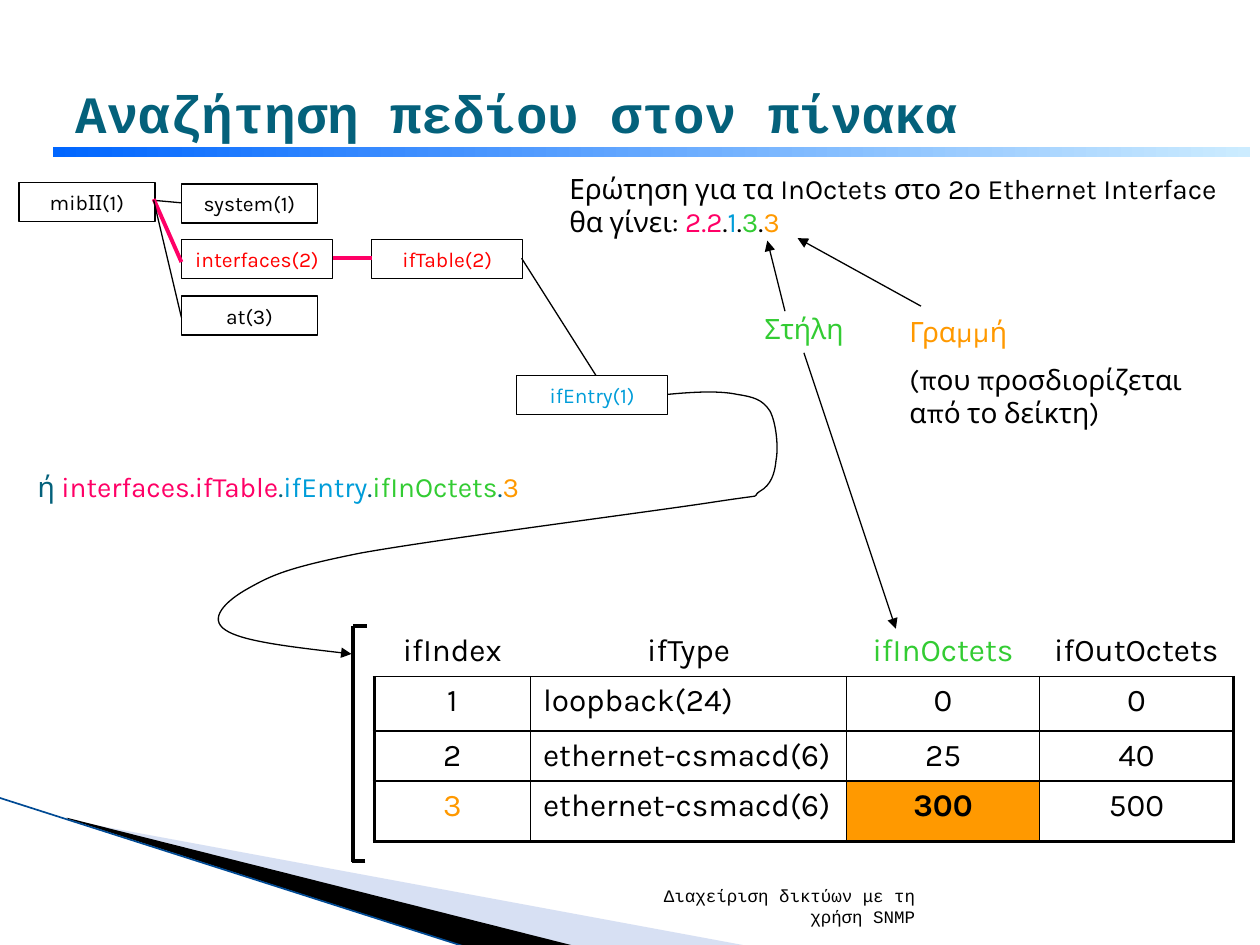
"""Build the slide that looks up a field in the SNMP interface table."""
from dataclasses import dataclass
from typing import Optional

from lxml import etree
from pptx import Presentation
from pptx import util as u
from pptx.dml.color import RGBColor
from pptx.enum import shapes, text
from pptx.oxml import ns

BLACK = RGBColor(0, 0, 0)
TEAL = RGBColor(0x04, 0x61, 0x7B)
RED = RGBColor(0xFF, 0, 0)
PINK = RGBColor(0xFF, 0, 0x66)
BLUE = RGBColor(0, 0x9D, 0xD9)
GREEN = RGBColor(0x33, 0xCC, 0x33)
ORANGE = RGBColor(0xFF, 0x99, 0)
PALE_BLUE = RGBColor(0x9D, 0xB2, 0xE1)
EDGE_BLUE = RGBColor(0x00, 0x4A, 0x94)
BAR_START = RGBColor(0, 0x66, 0xFF)
BAR_END = RGBColor(0xCC, 0xEC, 0xFF)
BODY_FONT = "Karla"
MONO_FONT = "Courier New"
NO_STYLE = "{2D5ABB26-0587-4C30-8999-92F81FD0307C}"
LEFT, CENTER, RIGHT = text.PP_ALIGN.LEFT, text.PP_ALIGN.CENTER, text.PP_ALIGN.RIGHT


@dataclass
class Run:
    words: str
    color: RGBColor = BLACK
    bold: bool = False


@dataclass
class Node:
    label: str
    left: float
    top: float
    width: float
    color: RGBColor = BLACK


@dataclass
class Link:
    start: tuple
    end: tuple
    color: RGBColor = BLACK
    weight: float = 0.75
    arrow: bool = False


@dataclass
class Label:
    box: tuple
    paragraphs: list
    size: float = 16
    font: str = BODY_FONT
    align: Optional[text.PP_ALIGN] = LEFT
    anchor: text.MSO_ANCHOR = text.MSO_ANCHOR.TOP


NODES = [
    Node("mib\u0399\u0399(1)", 0.15, 1.45, 1.08),
    Node("system(1)", 1.44, 1.46, 1.08),
    Node("interfaces(2)", 1.44, 1.9, 1.2, RED),
    Node("at(3)", 1.44, 2.35, 1.08),
    Node("ifTable(2)", 2.95, 1.9, 1.2, RED),
    Node("ifEntry(1)", 4.1, 2.98, 1.2, BLUE),
]
EDGE = Link((-0.01, 6.33), (3.71, 7.52), EDGE_BLUE, 0.95)
LINKS = [
    Link((1.22, 1.59), (1.44, 1.61)),
    Link((1.22, 1.58), (1.44, 2.08), PINK, 2.25),
    Link((1.22, 1.59), (1.44, 2.52)),
    Link((2.64, 2.05), (2.95, 2.05), PINK, 2.25),
    Link((4.14, 2.05), (4.73, 2.98)),
    Link((2.91, 4.97), (2.8, 4.97), weight=2.25),
    Link((2.8, 4.97), (2.8, 6.84), weight=2.25),
    Link((2.9, 6.83), (2.79, 6.83), weight=2.25),
    Link((6.23, 2.47), (6.09, 1.91), arrow=True),
    Link((6.38, 2.8), (7.11, 4.99), arrow=True),
    Link((7.31, 2.43), (6.33, 1.89), arrow=True),
]
LABELS = [
    Label((4.79, 7.01, 2.57, 0.4), [[Run("Διαχείριση δικτύων με τη χρήση SNMP")]],
          10, MONO_FONT, RIGHT, text.MSO_ANCHOR.BOTTOM),
    Label((4.42, 1.31, 5.42, 0.64), [[
        Run("Ερώτηση για τα InOctets στο 2ο Ethernet Interface θα γίνει: "),
        Run("2.2", PINK), Run("."), Run("1", BLUE), Run("."),
        Run("3", GREEN), Run("."), Run("3", ORANGE)]]),
    Label((5.97, 2.42, 0.85, 0.37), [[Run("Στήλη", GREEN)]]),
    Label((7.12, 2.45, 2.6, 1.04), [
        [Run("Γραμμή ", ORANGE)], [Run("(που προσδιορίζεται από το δείκτη)")]]),
    Label((0.2, 3.68, 5.42, 0.37), [[
        Run("ή ", TEAL), Run("interfaces.ifTable", PINK), Run(".", TEAL),
        Run("ifEntry", BLUE), Run(".", TEAL), Run("ifInOctets", GREEN),
        Run(".", TEAL), Run("3", ORANGE)]]),
]
COLUMN_WIDTHS = [1.24, 2.51, 1.53, 1.54]
ROW_HEIGHTS = [0.4, 0.43, 0.4, 0.48]
ROWS = [
    [Run("ifIndex"), Run("ifType"), Run("ifInOctets", GREEN), Run("ifOutOctets")],
    [Run("1"), Run("loopback(24)"), Run("0"), Run("0")],
    [Run("2"), Run("ethernet-csmacd(6)"), Run("25"), Run("40")],
    [Run("3", ORANGE), Run("ethernet-csmacd(6)"), Run("300", bold=True), Run("500")],
]
CURVE = [
    (5.3, 3.13),
    (5.51, 3.11), (5.71, 3.1), (5.85, 3.13),
    (5.98, 3.15), (6.05, 3.17), (6.11, 3.26),
    (6.16, 3.35), (6.18, 3.55), (6.16, 3.65),
    (6.15, 3.76), (6.12, 3.85), (6.03, 3.9),
    (5.94, 3.96), (6.15, 3.91), (5.63, 3.99),
    (5.1, 4.07), (3.47, 4.28), (2.86, 4.39),
    (2.26, 4.51), (2.15, 4.57), (1.97, 4.67),
    (1.79, 4.77), (1.65, 4.91), (1.79, 5),
    (1.92, 5.09), (2.36, 5.14), (2.79, 5.19),
]


def inches(values) -> list:
    return [u.Inches(value) for value in values]


def write(paragraph, runs: list, size: float, font: str, align) -> None:
    paragraph.alignment = align
    for item in runs:
        run = paragraph.add_run()
        run.text = item.words
        run.font.size = u.Pt(size)
        run.font.name = font
        run.font.bold = item.bold
        run.font.color.rgb = item.color


def set_line(line, color: RGBColor, weight: float, arrow: bool = False) -> None:
    line.color.rgb = color
    line.width = u.Pt(weight)
    if arrow:
        tail = etree.SubElement(line._get_or_add_ln(), ns.qn("a:tailEnd"))
        tail.set("type", "triangle")


def add_link(slide, link: Link) -> None:
    connector = slide.shapes.add_connector(
        shapes.MSO_CONNECTOR.STRAIGHT, *inches(link.start + link.end))
    set_line(connector.line, link.color, link.weight, link.arrow)
    etree.SubElement(connector._element.spPr, ns.qn("a:effectLst"))


def add_outline(slide, points: list, closed: bool):
    corners = [inches(point) for point in points]
    builder = slide.shapes.build_freeform(*corners[0], scale=1.0)
    builder.add_line_segments(corners[1:], close=closed)
    shape = builder.convert_to_shape()
    shape.shadow.inherit = False
    return shape


def add_wedge(slide, points: list, color: RGBColor, alpha: int = 100) -> None:
    shape = add_outline(slide, points, True)
    shape.fill.solid()
    shape.fill.fore_color.rgb = color
    shape.line.fill.background()
    if alpha < 100:
        value = next(shape._element.spPr.iter(ns.qn("a:srgbClr")))
        etree.SubElement(value, ns.qn("a:alpha")).set("val", str(alpha * 1000))


def add_curve(slide) -> None:
    shape = add_outline(slide, CURVE, False)
    outline = next(shape._element.spPr.iter(ns.qn("a:path")))
    segments = outline.findall(ns.qn("a:lnTo"))
    for index in range(0, len(segments), 3):
        bezier = etree.SubElement(outline, ns.qn("a:cubicBezTo"))
        for segment in segments[index:index + 3]:
            bezier.append(segment[0])
            outline.remove(segment)
    shape.fill.background()
    set_line(shape.line, BLACK, 0.75, True)


def add_bar(slide) -> None:
    bar = slide.shapes.add_shape(
        shapes.MSO_SHAPE.RECTANGLE, *inches((0.42, 1.17, 9.5, 0.08)))
    bar.shadow.inherit = False
    bar.line.fill.background()
    bar.fill.gradient()
    bar.fill.gradient_angle = 0
    for stop, color in zip(bar.fill.gradient_stops, (BAR_START, BAR_END)):
        stop.color.rgb = color


def add_node(slide, node: Node) -> None:
    shape = slide.shapes.add_shape(
        shapes.MSO_SHAPE.RECTANGLE, *inches((node.left, node.top, node.width, 0.31)))
    shape.shadow.inherit = False
    shape.fill.background()
    set_line(shape.line, BLACK, 0.75)
    write(shape.text_frame.paragraphs[0], [Run(node.label, node.color)], 12, BODY_FONT, CENTER)


def add_label(slide, label: Label) -> None:
    frame = slide.shapes.add_textbox(*inches(label.box)).text_frame
    frame.word_wrap = True
    frame.vertical_anchor = label.anchor
    for index, runs in enumerate(label.paragraphs):
        paragraph = frame.add_paragraph() if index else frame.paragraphs[0]
        paragraph.space_before = u.Pt(8 if index else 0)
        write(paragraph, runs, label.size, label.font, label.align)


def set_borders(cell, weights: dict) -> None:
    properties = cell._tc.get_or_add_tcPr()
    for index, (side, weight) in enumerate(weights.items()):
        line = etree.Element(ns.qn(f"a:ln{side}"), w=str(u.Pt(weight)))
        fill = etree.SubElement(line, ns.qn("a:solidFill"))
        etree.SubElement(fill, ns.qn("a:srgbClr"), val=str(BLACK))
        properties.insert(index, line)


def add_interface_table(slide) -> None:
    table = slide.shapes.add_table(
        len(ROWS), len(COLUMN_WIDTHS), *inches((2.97, 4.97, 6.82, 1.71))).table
    table.first_row = table.horz_banding = False
    table._tbl.tblPr.find(ns.qn("a:tableStyleId")).text = NO_STYLE
    for column, width in zip(table.columns, COLUMN_WIDTHS):
        column.width = u.Inches(width)
    for row, (height, runs) in enumerate(zip(ROW_HEIGHTS, ROWS)):
        table.rows[row].height = u.Inches(height)
        for column, run in enumerate(runs):
            cell = table.cell(row, column)
            align = LEFT if row and column == 1 else CENTER
            write(cell.text_frame.paragraphs[0], [run], 18, BODY_FONT, align)
            cell.fill.background()
            if run.bold:
                cell.fill.solid()
                cell.fill.fore_color.rgb = ORANGE
            outer = {"L": column == 0, "R": column == 3, "T": False, "B": row == 3}
            set_borders(cell, {side: 2.25 if edge else 1 for side, edge in outer.items()}
                        if row else {"B": 1})


def main() -> None:
    presentation = Presentation()
    presentation.slide_width, presentation.slide_height = inches((10, 7.5))
    slide = presentation.slides.add_slide(presentation.slide_layouts[5])
    title = slide.shapes.title
    title.left, title.top, title.width, title.height = inches((0.5, 0.24, 9, 1.31))
    title.text_frame.vertical_anchor = text.MSO_ANCHOR.MIDDLE
    write(title.text_frame.paragraphs[0],
          [Run("Αναζήτηση πεδίου στον πίνακα", TEAL, True)], 30, MONO_FONT, LEFT)
    add_wedge(slide, [(0.55, 6.51), (5.95, 7.51), (4.56, 7.51), (0.55, 6.5)], PALE_BLUE, 40)
    add_wedge(slide, [(0.53, 6.49), (4.57, 7.51), (3.72, 7.52), (0.54, 6.5)], BLACK)
    add_link(slide, EDGE)
    add_bar(slide)
    add_interface_table(slide)
    for node in NODES:
        add_node(slide, node)
    add_curve(slide)
    for link in LINKS:
        add_link(slide, link)
    for label in LABELS:
        add_label(slide, label)
    presentation.save("out.pptx")


main()
